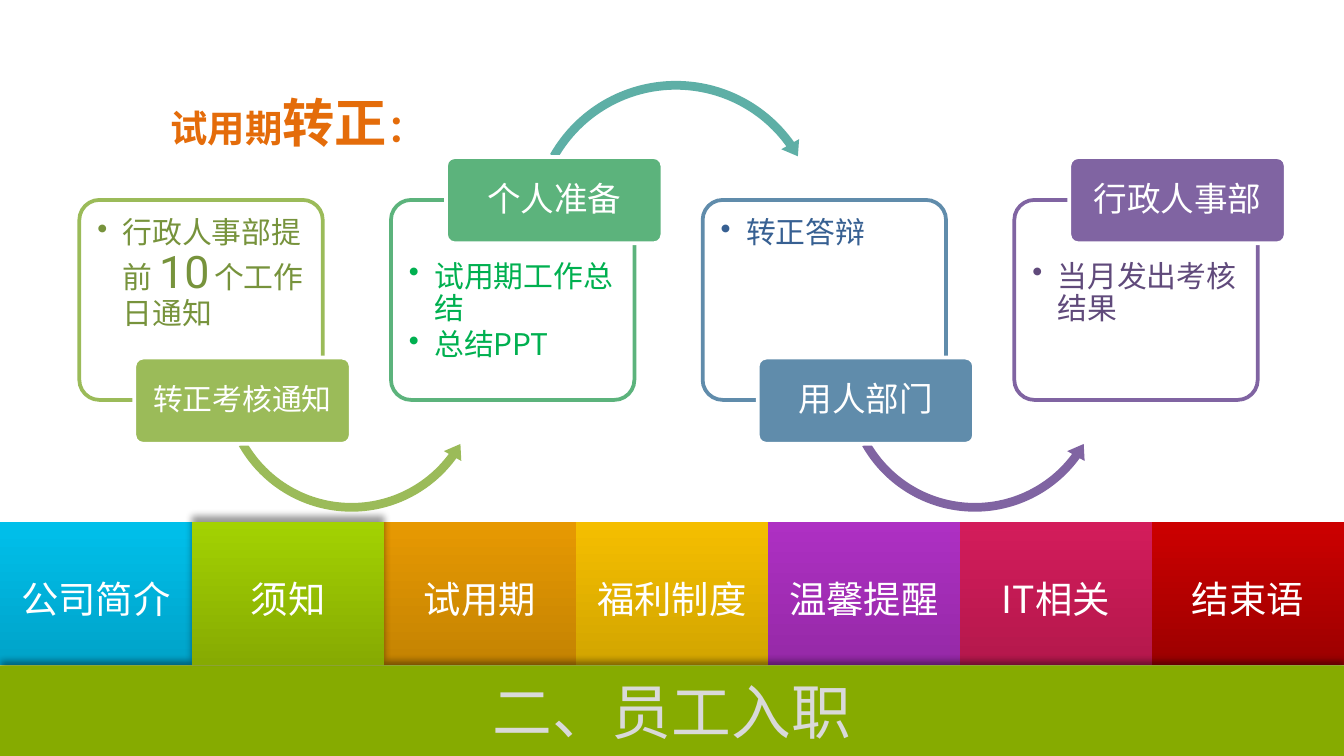
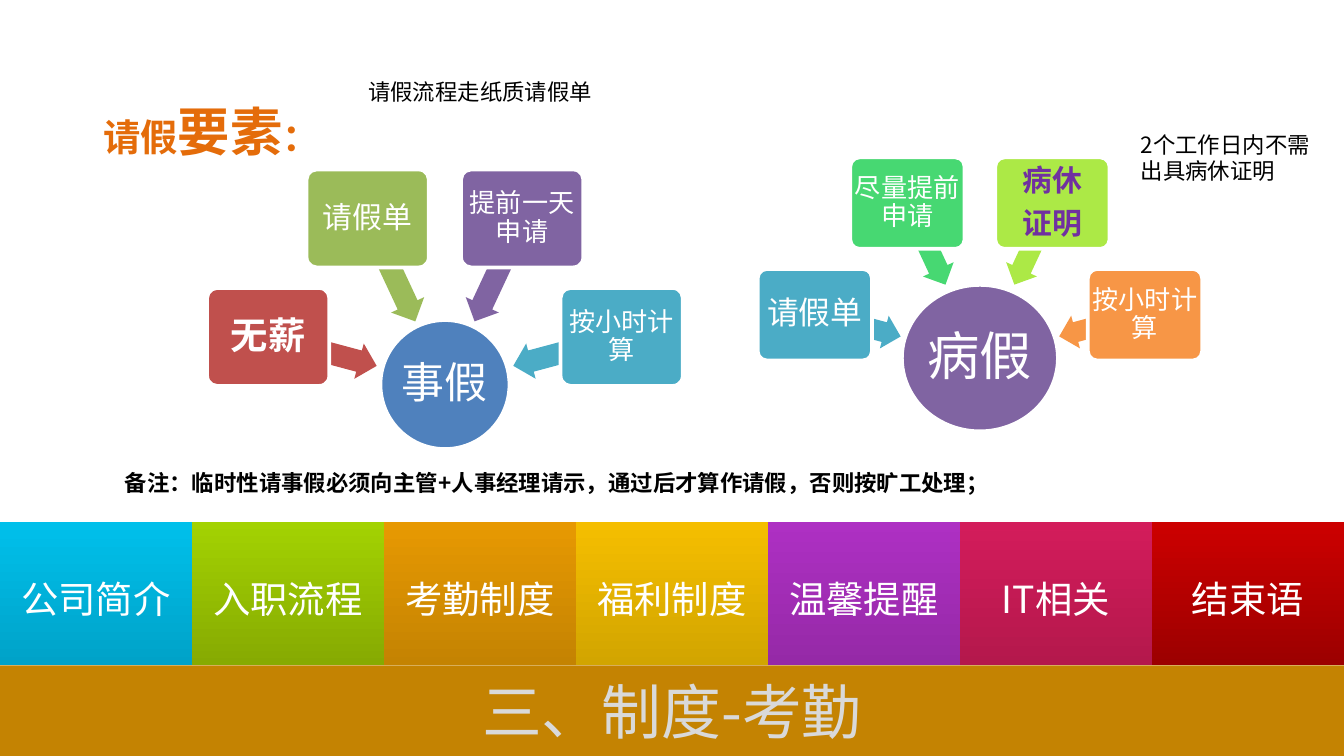
from lxml import etree
from pptx import Presentation
from pptx.dml.color import RGBColor
from pptx.enum import shapes, text
from pptx.oxml import ns
from pptx.util import Cm, Pt

FONT = "Noto Sans CJK SC"
KIND = shapes.MSO_SHAPE
PAGE_W, PAGE_H = 25.4, 14.29
TAB_W, TAB_H, TAB_TOP = PAGE_W / 7, 2.72, 9.86

COLORS = {
    "white": "FFFFFF", "black": "000000", "heading": "E46C0A", "band_text": "D9D9D9",
    "olive": "9BBB59", "olive_text": "77933C", "green": "5CB37C", "green_text": "00B050",
    "teal": "5EAFA6", "steel": "608CAB", "steel_text": "376092",
    "purple": "8064A2", "purple_text": "604A7B", "violet": "7030A0",
    "blue": "4F81BD", "red": "C0504D", "aqua": "4BACC6", "orange": "F79646",
    "mint": "47D872", "lime": "ACE946",
    "band_green": "86AB00", "band_amber": "C48302",
}
TAB_GRADIENTS = [
    ("00C0EB", "00A2C8"), ("A3D202", "86AA02"), ("E79902", "C48302"), ("F5BE00", "D2A500"),
    ("AE30C3", "9529A7"), ("D31C5B", "B4184C"), ("CC0000", "9C0000"),
]


def rgb(name):
    return RGBColor.from_string(COLORS.get(name, name))


def add_xml(parent, tag, **attributes):
    return etree.SubElement(parent, ns.qn(tag), {key: str(val) for key, val in attributes.items()})


class Painter:
    def __init__(self):
        self.deck = Presentation()
        self.deck.slide_width, self.deck.slide_height = Cm(PAGE_W), Cm(PAGE_H)
        self.page = None

    def new_page(self, box, spans):
        """Start a slide whose title is made of (text, size) spans."""
        self.page = self.deck.slides.add_slide(self.deck.slide_layouts[5])
        title = self.page.shapes.title
        title.left, title.top, title.width, title.height = map(Cm, box)
        runs = [(words, size, "heading", True) for words, size in spans]
        self.set_text(title.text_frame, [runs], align=text.PP_ALIGN.LEFT,
                      anchor=text.MSO_ANCHOR.TOP, insets=(0.25, 0.13, 0.25, 0.13))

    def shape(self, kind, box, fill, line=None, adjust=(), turn=0):
        """Fill is a colour, or a pair of colours for a vertical gradient."""
        shape = self.page.shapes.add_shape(kind, *map(Cm, box))
        if isinstance(fill, tuple):
            shape.fill.gradient()
            shape.fill.gradient_angle = 270
            for stop, color in zip(shape.fill.gradient_stops, fill):
                stop.color.rgb = rgb(color)
        else:
            shape.fill.solid()
            shape.fill.fore_color.rgb = rgb(fill)
        if line:
            shape.line.color.rgb = rgb(line)
            shape.line.width = Pt(2)
        else:
            shape.line.fill.background()
        shape.shadow.inherit = False
        for index, value in enumerate(adjust):
            shape.adjustments[index] = value
        shape.rotation = turn
        return shape

    def cast_shadow(self, shape):
        effects = shape._element.spPr.find(ns.qn("a:effectLst"))
        shadow = add_xml(effects, "a:outerShdw", blurRad=int(Pt(4)), dist=int(Pt(3)),
                         dir=270 * 60000, algn="b", rotWithShape=0)
        color = add_xml(shadow, "a:srgbClr", val=COLORS["black"])
        add_xml(color, "a:alpha", val=40000)

    def set_text(self, frame, paras, align=text.PP_ALIGN.CENTER, anchor=text.MSO_ANCHOR.MIDDLE,
                 insets=(0, 0, 0, 0), spacing=None, after=0, bullets=False):
        """Each paragraph is a list of runs: (text, size, colour, bold[, font])."""
        frame.word_wrap = True
        frame.auto_size = text.MSO_AUTO_SIZE.NONE
        frame.vertical_anchor = anchor
        (frame.margin_left, frame.margin_top,
         frame.margin_right, frame.margin_bottom) = map(Cm, insets)
        for index, runs in enumerate(paras):
            para = frame.add_paragraph() if index else frame.paragraphs[0]
            para.alignment = align
            if spacing:
                para.line_spacing = spacing
                para.space_after = Pt(after)
            if bullets:
                para.level = 1
                props = para._p.get_or_add_pPr()
                props.set("marL", str(int(Cm(0.48))))
                props.set("indent", str(-int(Cm(0.48))))
                add_xml(props, "a:buChar", char="•")
            for run in runs:
                self.add_span(para, *run)

    def add_span(self, para, words, size, color, bold=False, font=FONT):
        span = para.add_run()
        span.text = words
        span.font.size, span.font.bold, span.font.name = Pt(size), bold, font
        span.font.color.rgb = rgb(color)
        add_xml(span._r.get_or_add_rPr(), "a:ea", typeface=font)

    def note(self, box, lines, bold=False):
        frame = self.page.shapes.add_textbox(*map(Cm, box)).text_frame
        self.set_text(frame, [[(line, 12, "black", bold)] for line in lines],
                      align=text.PP_ALIGN.LEFT, anchor=text.MSO_ANCHOR.TOP,
                      insets=(0.25, 0.13, 0.25, 0.13))

    def label(self, kind, box, fill, lines, size, color="white", bold=False):
        """Filled shape with a white outline and centred text."""
        adjust = [0.1] if kind == KIND.ROUNDED_RECTANGLE else []
        shape = self.shape(kind, box, fill, "white", adjust)
        self.set_text(shape.text_frame, [[(line, size, color, bold)] for line in lines],
                      spacing=0.9, after=size * 0.35)

    def navigation(self, names, active, band_color, heading, shadow):
        """Row of tabs above the band; the active tab runs into the band."""
        def tab(index):
            box = (index * TAB_W, TAB_TOP, TAB_W, TAB_H)
            shape = self.shape(KIND.RECTANGLE, box, TAB_GRADIENTS[index])
            self.set_text(shape.text_frame, [[(names[index], 20, "white")]],
                          insets=(0, 0.18, 0, 0))
            return shape

        for index in range(len(names)):
            if index != active:
                tab(index)
        top = TAB_TOP + TAB_H
        band = self.shape(KIND.RECTANGLE, (0, top, PAGE_W, PAGE_H - top), band_color)
        self.set_text(band.text_frame, [[(heading, 32, "band_text")]])
        front = tab(active)
        if shadow:
            self.cast_shadow(band)
            self.cast_shadow(front)

    def step(self, index, name, size, color, items, arrow_color=None):
        """Process card; its label sits below on even steps and above on odd ones."""
        left, top = 1.5 + 5.89 * index, 3.78
        above = index % 2 == 1
        card = self.shape(KIND.ROUNDED_RECTANGLE, (left, top, 4.6, 3.78), "white", color, [0.1])
        fill = card._element.spPr.find(ns.qn("a:solidFill"))
        add_xml(fill[0], "a:alpha", val=90000)
        self.set_text(card.text_frame, items, align=text.PP_ALIGN.LEFT,
                      anchor=text.MSO_ANCHOR.TOP,
                      insets=(0.23, 1.05 if above else 0.23, 0.23, 0.23),
                      spacing=0.9, after=2.4, bullets=True)
        if arrow_color and above:
            self.shape(KIND.CIRCULAR_ARROW, (left + 2.54, 1.42, 5.69, 5.69), arrow_color,
                       adjust=(0.029, 3.513, 194.732, 125.755, 0.034))
        elif arrow_color:
            self.shape(KIND.LEFT_CIRCULAR_ARROW, (left + 2.59, 4.67, 5.11, 5.11), arrow_color,
                       adjust=(0.032, 3.949, 21.704, 90.245, 0.037))
        self.label(KIND.ROUNDED_RECTANGLE, (left + 1.04, 2.97 if above else 6.76, 4.09, 1.63),
                   color, [name], size)

    def hub(self, center, size, name, name_size, color, card_size, arrow_size, reach, spokes):
        """Circle with four cards pointing at it; reach holds outer and inner card offsets."""
        def around(dx, dy, width, height):
            return center[0] + dx - width / 2, center[1] - dy - height / 2, width, height

        outer, inner = reach
        far, near = (2.32, 0.63), (1.01, 2.16)
        places = [(-1, outer, far), (-1, inner, near), (1, inner, near), (1, outer, far)]
        self.label(KIND.OVAL, around(0, 0, *size), color, [name], name_size)
        for index, ((side, card, arrow), spoke) in enumerate(zip(places, spokes)):
            self.shape(KIND.LEFT_ARROW, around(side * arrow[0], arrow[1], *arrow_size), spoke[0],
                       adjust=(0.6, 0.5), turn=195 + 50 * index)
            self.label(KIND.ROUNDED_RECTANGLE, around(side * card[0], card[1], *card_size), *spoke)


def build_confirmation(painter):
    painter.new_page((2.97, 1.57, 5.5, 1.45), [("试用期", 20), ("转正", 28), ("：", 20)])
    painter.navigation(["公司简介", "须知", "试用期", "福利制度", "温馨提醒", "IT相关", "结束语"],
                       1, "band_green", "二、员工入职", shadow=True)
    notice = [("行政人事部提前 ", 16, "olive_text"), ("10", 24, "olive_text", False, "Roboto"),
              (" ", 11, "olive_text"), ("个工作日通知", 16, "olive_text")]
    steps = [
        ("转正考核通知", 16, "olive", [notice], "olive"),
        ("个人准备", 18, "green",
         [[("试用期工作总结", 16, "green_text")], [("总结PPT", 16, "green_text")]], "teal"),
        ("用人部门", 18, "steel", [[("转正答辩", 16, "steel_text")]], "purple"),
        ("行政人事部", 18, "purple", [[("当月发出考核结果", 16, "purple_text")]]),
    ]
    for index, step in enumerate(steps):
        painter.step(index, *step)


def build_leave(painter):
    painter.new_page((1.7, 1.75, 5.5, 1.45), [("请假", 20), ("要素", 28), ("：", 20)])
    painter.navigation(["公司简介", "入职流程", "考勤制度", "福利制度", "温馨提醒", "IT相关", "结束语"],
                       2, "band_amber", "三、制度-考勤", shadow=False)
    painter.hub((8.41, 7.27), (2.44, 2.44), "事假", 23, "blue", (2.31, 1.85), (2.13, 0.69),
                ((3.34, 0.9), (1.46, 3.14)), [
                    ("red", ["无薪"], 20, "white", True),
                    ("olive", ["请假单"], 16),
                    ("purple", ["提前一天申请"], 14),
                    ("aqua", ["按小时计算"], 14)])
    painter.hub((18.52, 6.77), (2.95, 2.77), "病假", 28, "purple", (2.16, 1.73), (1.7, 0.64),
                ((3.12, 0.82), (1.37, 2.93)), [
                    ("aqua", ["请假单"], 17),
                    ("mint", ["尽量提前申请"], 14),
                    ("lime", ["病休", "证明"], 16, "violet", True),
                    ("orange", ["按小时计算"], 14)])
    painter.note((2.11, 8.74, 17.3, 0.77),
                 ["备注：临时性请事假必须向主管+人事经理请示，通过后才算作请假，否则按旷工处理；"], bold=True)
    painter.note((21.31, 2.34, 3.76, 1.28), ["2个工作日内不需", "出具病休证明"])
    painter.note((6.71, 1.35, 4.9, 0.77), ["请假流程走纸质请假单"])


def main():
    painter = Painter()
    build_confirmation(painter)
    build_leave(painter)
    painter.deck.save("out.pptx")


if __name__ == "__main__":
    main()
